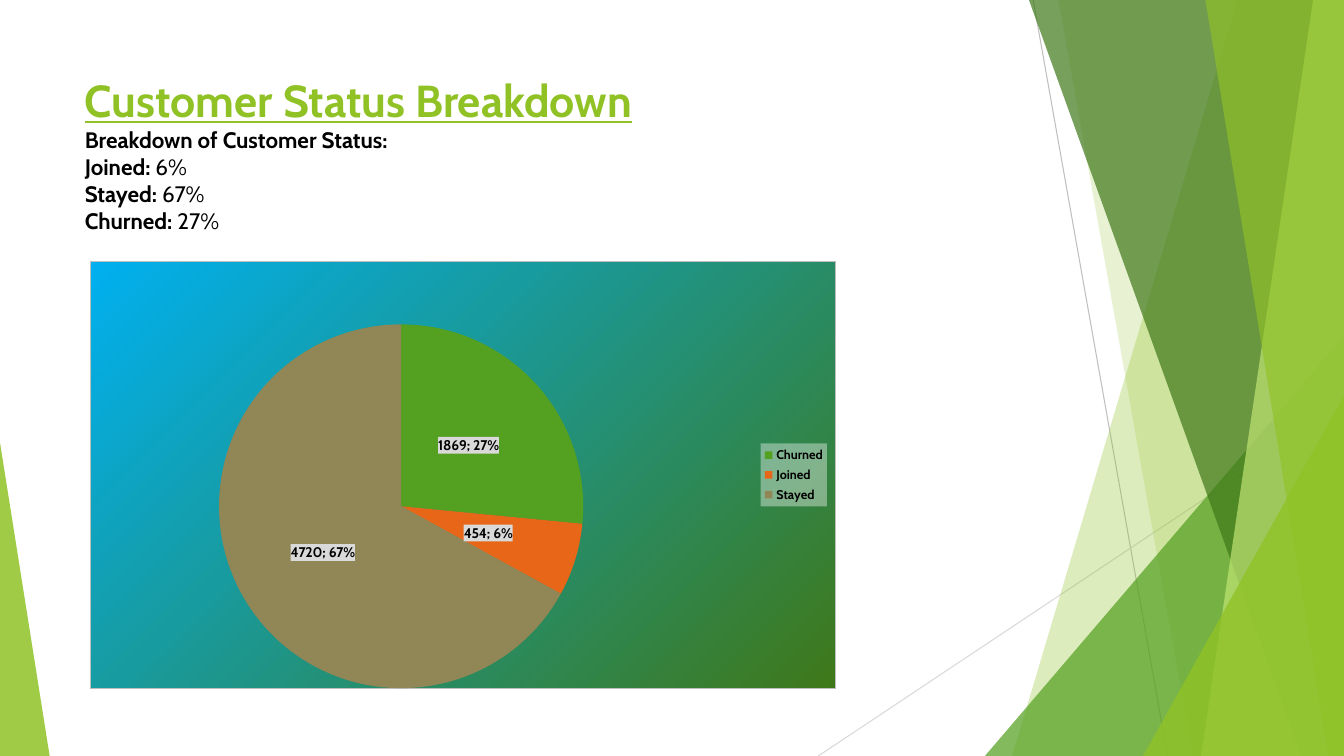
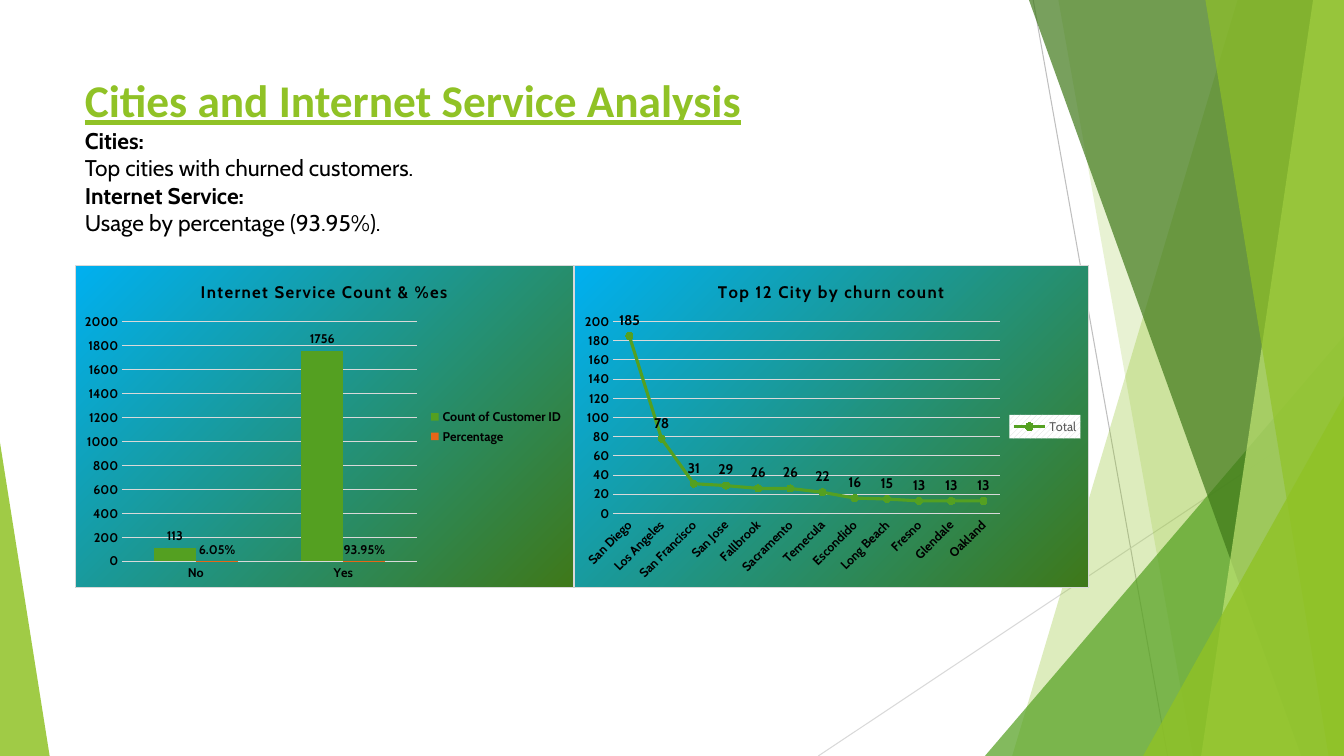
import pptx
import pptx.chart.data
import pptx.dml.color
import pptx.enum.chart
import pptx.enum.shapes
import pptx.enum.text
import pptx.oxml
import pptx.oxml.ns
import pptx.util

Pt = pptx.util.Pt
RGB = pptx.dml.color.RGBColor
qn = pptx.oxml.ns.qn
ChartType = pptx.enum.chart.XL_CHART_TYPE
LabelPosition = pptx.enum.chart.XL_LABEL_POSITION

WIDTH, HEIGHT = 960, 540
LIME = RGB(0x90, 0xC2, 0x26)
GREEN = RGB(0x54, 0xA0, 0x21)
FOREST = RGB(0x3F, 0x78, 0x19)
PALE_LIME = RGB(0xC0, 0xE4, 0x74)
ORANGE = RGB(0xE7, 0x66, 0x18)
OLIVE = RGB(0x91, 0x86, 0x55)
SKY = RGB(0x00, 0xB0, 0xF0)
BLACK = RGB(0, 0, 0)
WHITE = RGB(0xFF, 0xFF, 0xFF)
DARK_GRAY = RGB(0x59, 0x59, 0x59)
GRAY = RGB(0xBF, 0xBF, 0xBF)
LIGHT_GRAY = RGB(0xD9, 0xD9, 0xD9)
FONT = "Cabin"

HEADING = {"size": Pt(32), "bold": True, "underline": True, "color": LIME}
BODY = {"size": Pt(16)}
BOLD = {"bold": True}
SMALL_BOLD = {"size": Pt(9), "bold": True}
LABEL_BOLD = {"size": Pt(10), "bold": True}

STATUS_PLACE = (64, 186.5, 533, 305.5)
SERVICE_PLACE = (53.5, 189.5, 356.5, 230.5)
CITY_PLACE = (410, 189.5, 368, 230.5)

RAYS = [((738, 0), (834, 540), GRAY), ((960, 290), (584.5, 540), LIGHT_GRAY)]
DECOR = [
    ("band", (884, 723), LIME, 30),
    ("band", (756, 852), LIME, 20),
    ("triangle", (703.5, 240, 256.5, 300, 1), GREEN, 72),
    ("band", (735, 929.5), FOREST, 70),
    ("band", (938, 858), PALE_LIME, 70),
    ("band", (861, 949), LIME, 65),
    ("triangle", (816.5, 283, 143.5, 257, 1), LIME, 80),
    ("triangle", (0, 316, 35.5, 224, 0), LIME, 85),
]


def style_font(font, values):
    for name, value in {"name": FONT, "color": BLACK, **values}.items():
        if name == "color":
            font.color.rgb = value
        else:
            setattr(font, name, value)


def xml(text):
    head, rest = text.split(">", 1)
    if head.endswith("/"):
        head, rest = head[:-1], f"/>{rest}"
    else:
        rest = f">{rest}"
    return pptx.oxml.parse_xml(f"{head} {pptx.oxml.ns.nsdecls('a', 'c')}{rest}")


def solid(color, alpha=100):
    return (f'<a:solidFill><a:srgbClr val="{color}">'
            f'<a:alpha val="{alpha * 1000}"/></a:srgbClr></a:solidFill>')


def add_ray(s, start, end, color):
    line = s.shapes.add_connector(
        pptx.enum.shapes.MSO_CONNECTOR.STRAIGHT, *map(Pt, start + end))
    line.line.color.rgb = color
    line.line.width = Pt(0.75)
    line._element.spPr.append(xml("<a:effectLst/>"))


def add_band(s, top, bottom):
    builder = s.shapes.build_freeform(Pt(top), 0)
    corners = [(WIDTH, 0), (WIDTH, HEIGHT), (bottom, HEIGHT)]
    builder.add_line_segments([(Pt(x), Pt(y)) for x, y in corners])
    return builder.convert_to_shape()


def add_triangle(s, left, top, width, height, apex):
    sp = s.shapes.add_shape(
        pptx.enum.shapes.MSO_SHAPE.ISOSCELES_TRIANGLE,
        Pt(left), Pt(top), Pt(width), Pt(height))
    sp.adjustments[0] = apex
    return sp


def add_decor(s):
    for ray in RAYS:
        add_ray(s, *ray)
    makers = {"band": add_band, "triangle": add_triangle}
    for kind, place, color, alpha in DECOR:
        sp = makers[kind](s, *place)
        sp.shadow.inherit = False
        sp.line.fill.background()
        sp.fill.solid()
        sp.fill.fore_color.rgb = color
        rgb = sp._element.spPr.find(".//" + qn("a:srgbClr"))
        rgb.append(xml(f'<a:alpha val="{alpha * 1000}"/>'))


def add_text(s, paragraphs):
    sp = s.shapes.add_textbox(Pt(53.5), Pt(48.25), Pt(677), Pt(104))
    tf = sp.text_frame
    tf.word_wrap = True
    tf.vertical_anchor = pptx.enum.text.MSO_ANCHOR.TOP
    for i, runs in enumerate(paragraphs):
        p = tf.add_paragraph() if i else tf.paragraphs[0]
        for text, values in runs:
            r = p.add_run()
            r.text = text
            style_font(r.font, values)


def set_layout(parent, index, place, box, inner=False):
    old = parent.find(qn("c:layout"))
    if old is not None:
        parent.remove(old)
    target = '<c:layoutTarget val="inner"/>' if inner else ""
    modes = '<c:xMode val="edge"/><c:yMode val="edge"/>'
    sizes = place[2:] * 2
    values = "".join(f'<c:{k} val="{length / size}"/>'
                     for k, length, size in zip("xywh", box, sizes))
    parent.insert(index, xml(
        f"<c:layout><c:manualLayout>{target}{modes}{values}"
        "</c:manualLayout></c:layout>"))


def add_chart(s, kind, place, cats, series, border, plot_box):
    data = pptx.chart.data.CategoryChartData()
    data.categories = cats
    for name, values in series:
        data.add_series(name, values)
    chart = s.shapes.add_chart(kind, *map(Pt, place), data).chart
    if len(chart.plots[0].series) < len(series):
        chart.replace_data(data)
    style_font(chart.font, {"size": Pt(10)})
    chart.has_title = False
    space = chart._chartSpace
    space.find(qn("c:txPr")).addprevious(xml(
        f'<c:spPr><a:gradFill><a:gsLst><a:gs pos="0"><a:srgbClr val="{SKY}"/></a:gs>'
        f'<a:gs pos="100000"><a:srgbClr val="{FOREST}"/></a:gs></a:gsLst>'
        '<a:lin ang="2700000" scaled="0"/></a:gradFill>'
        f'<a:ln w="{Pt(0.75)}">{solid(border)}</a:ln></c:spPr>'))
    set_layout(space.find(".//" + qn("c:plotArea")), 0, place, plot_box, True)
    return chart


def add_legend(chart, values, fill=None):
    chart.has_legend = True
    legend = chart.legend
    legend.position = pptx.enum.chart.XL_LEGEND_POSITION.RIGHT
    legend.include_in_layout = False
    style_font(legend.font, values)
    if fill:
        legend._element.find(qn("c:txPr")).addprevious(
            xml(f"<c:spPr>{fill}</c:spPr>"))


def add_title(chart, text, place, left):
    chart.has_title = True
    p = chart.chart_title.text_frame.paragraphs[0]
    r = p.add_run()
    r.text = text
    style_font(r.font, {"size": Pt(12), "bold": True})
    r._r.get_or_add_rPr().set("spc", "100")
    set_layout(chart.chart_title._element, 1, place, (left, 8.5))


def add_labels(series, font, **values):
    labels = series.data_labels
    style_font(labels.font, font)
    if "number_format" in values:
        labels.number_format_is_linked = False
    for name, value in {"show_value": True, **values}.items():
        setattr(labels, name, value)
    return labels


def style_axes(chart, top, unit):
    for axis in (chart.category_axis, chart.value_axis):
        axis.major_tick_mark = axis.minor_tick_mark = pptx.enum.chart.XL_TICK_MARK.NONE
        style_font(axis.tick_labels.font, SMALL_BOLD)
        axis.format.line.fill.background()
    axis = chart.value_axis
    for name, value in {"minimum_scale": 0, "maximum_scale": top,
                        "major_unit": unit, "has_major_gridlines": True}.items():
        setattr(axis, name, value)
    grid = axis.major_gridlines.format.line
    grid.color.rgb = LIGHT_GRAY
    grid.width = Pt(0.75)


def fill_solid(item, color):
    item.format.fill.solid()
    item.format.fill.fore_color.rgb = color


def add_status_pie(s):
    chart = add_chart(
        s, ChartType.PIE, STATUS_PLACE, ["Churned", "Joined", "Stayed"],
        [("Series 1", [1869, 454, 4720]), ("Series 2", [0.27, 0.06, 0.67])],
        GRAY, (0.5, 45, 444, 260.5))
    chart.plots[0].vary_by_categories = True
    formats = [(BLACK, "General"), (WHITE, "0%")]
    for series, (color, number_format) in zip(chart.plots[0].series, formats):
        for i, fill in enumerate((GREEN, ORANGE, OLIVE)):
            fill_solid(series.points[i], fill)
        labels = add_labels(
            series, {**LABEL_BOLD, "color": color}, show_percentage=True,
            number_format=number_format, position=LabelPosition.CENTER)
        element = labels._element
        if color == BLACK:
            element.find(qn("c:txPr")).addprevious(
                xml(f"<c:spPr>{solid(LIGHT_GRAY)}</c:spPr>"))
        last = element.find(qn("c:showBubbleSize"))
        if last is None:
            last = element.find(qn("c:showPercent"))
        last.addnext(xml("<c:separator>; </c:separator>"))
    add_legend(chart, SMALL_BOLD, solid(WHITE, 39))


def add_service_columns(s):
    chart = add_chart(
        s, ChartType.COLUMN_CLUSTERED, SERVICE_PLACE, ["No", "Yes"],
        [("Count of Customer ID", [113, 1756]), ("Percentage", [0.0605, 0.9395])],
        LIGHT_GRAY, (33.5, 40, 211, 171.75))
    add_title(chart, "Internet Service Count & %es", SERVICE_PLACE, 87.5)
    style_axes(chart, 2000, 200)
    plot = chart.plots[0]
    for name, value in {"gap_width": 150, "overlap": 0,
                        "vary_by_categories": False}.items():
        setattr(plot, name, value)
    formats = [(GREEN, "General"), (ORANGE, "0.00%")]
    for series, (color, number_format) in zip(plot.series, formats):
        fill_solid(series, color)
        add_labels(series, SMALL_BOLD, number_format=number_format,
                   position=LabelPosition.OUTSIDE_END)
    add_legend(chart, SMALL_BOLD)


def add_city_line(s):
    cities = ["San Diego", "Los Angeles", "San Francisco", "San Jose", "Fallbrook",
              "Sacramento", "Temecula", "Escondido", "Long Beach", "Fresno",
              "Glendale", "Oakland"]
    counts = [185, 78, 31, 29, 26, 26, 22, 16, 15, 13, 13, 13]
    chart = add_chart(
        s, ChartType.LINE_MARKERS_STACKED, CITY_PLACE, cities,
        [("Total", counts)], LIGHT_GRAY, (27.75, 40, 276.5, 137.5))
    add_title(chart, "Top 12 City by churn count", CITY_PLACE, 100.5)
    style_axes(chart, 200, 20)
    axis = chart.category_axis
    axis.format.line.color.rgb = LIGHT_GRAY
    axis.format.line.width = Pt(0.75)
    axis._element.find(qn("c:txPr")).find(qn("a:bodyPr")).set("rot", "-2700000")
    chart.plots[0].vary_by_categories = False
    series = chart.plots[0].series[0]
    series.smooth = False
    series.format.line.color.rgb = GREEN
    series.format.line.width = Pt(2.25)
    series.marker.style = pptx.enum.chart.XL_MARKER_STYLE.CIRCLE
    series.marker.size = 5
    fill_solid(series.marker, GREEN)
    series.marker.format.line.color.rgb = GREEN
    add_labels(series, LABEL_BOLD, position=LabelPosition.ABOVE)
    add_legend(
        chart, {"size": Pt(9), "color": DARK_GRAY},
        f'<a:pattFill prst="wdUpDiag"><a:fgClr><a:srgbClr val="{LIGHT_GRAY}"/></a:fgClr>'
        f'<a:bgClr><a:srgbClr val="{WHITE}"/></a:bgClr></a:pattFill>')


def main():
    prs = pptx.Presentation()
    prs.slide_width, prs.slide_height = Pt(WIDTH), Pt(HEIGHT)
    status_text = [[("Customer Status Breakdown", HEADING)],
                   [("Breakdown of Customer Status:", {**BODY, **BOLD})]]
    for status, share in (("Joined:", " 6%"), ("Stayed:", " 67%"), ("Churned:", " 27%")):
        status_text.append([(status, {**BODY, **BOLD}), (share, BODY)])
    city_body = {"size": Pt(16.2)}
    city_text = [
        [("Cities and Internet Service Analysis",
          {**HEADING, "name": "Calibri", "size": Pt(32.4)})],
        [("Cities:", {**city_body, **BOLD})],
        [("Top cities with churned customers.", city_body)],
        [("Internet Service:", {**city_body, **BOLD})],
        [("Usage by percentage (93.95%).", city_body)],
    ]
    slides = [(status_text, [add_status_pie]),
              (city_text, [add_service_columns, add_city_line])]
    for text, charts in slides:
        s = prs.slides.add_slide(prs.slide_layouts[6])
        add_decor(s)
        add_text(s, text)
        for draw in charts:
            draw(s)
    prs.save("out.pptx")


if __name__ == "__main__":
    main()
